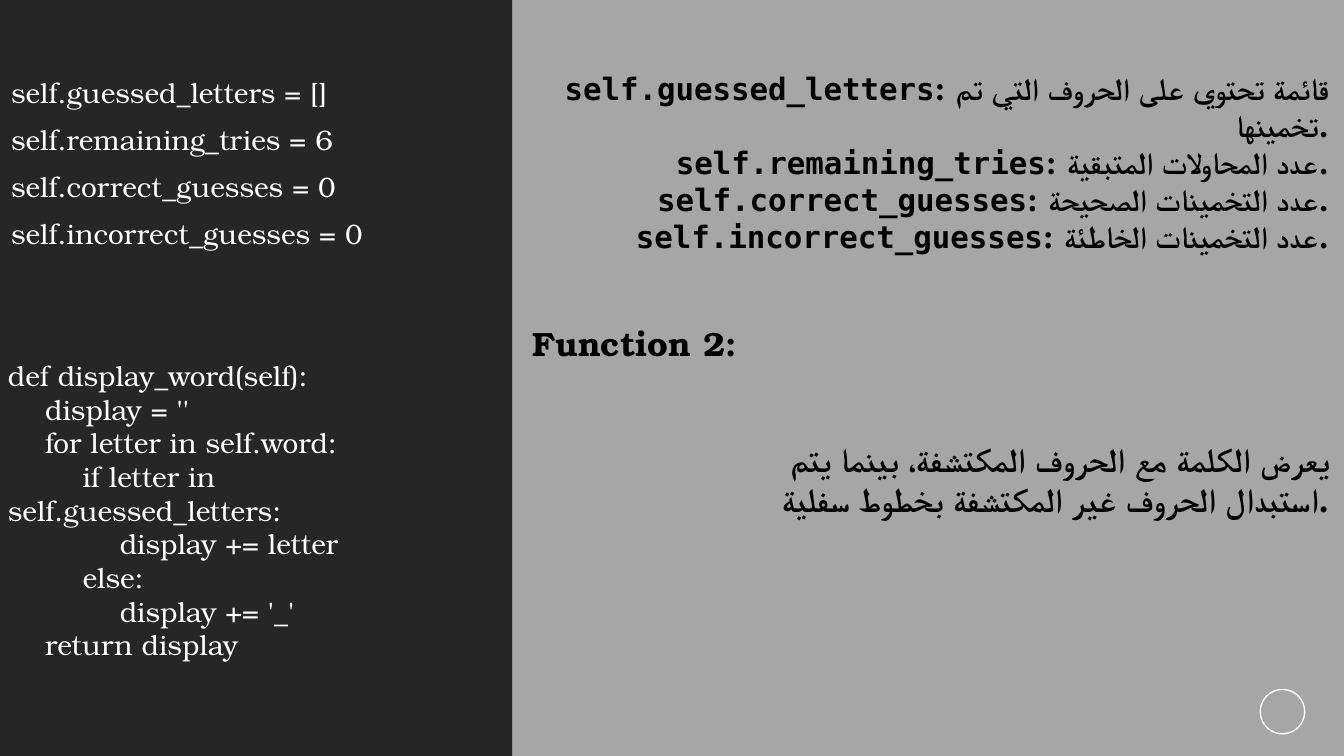
import pptx
import pptx.util
import pptx.dml.color
import pptx.enum.shapes
import pptx.enum.text
import pptx.oxml.ns
import lxml.etree

Inches = pptx.util.Inches
Pt = pptx.util.Pt
Align = pptx.enum.text.PP_ALIGN
Anchor = pptx.enum.text.MSO_ANCHOR
Preset = pptx.enum.shapes.MSO_SHAPE

COLORS = {"page": "A6A6A6", "panel": "262626", "light": "FFFFFF", "dark": "000000"}
SERIF = "TeX Gyre Bonum"
MONO = "DejaVu Sans Mono"
INDENT_STEP = 0.37

HEADING = "Function 2:"
ATTRIBUTES = [
    ("self.guessed_letters", "[]", "قائمة تحتوي على الحروف التي تم تخمينها."),
    ("self.remaining_tries", "6", "عدد المحاولات المتبقية."),
    ("self.correct_guesses", "0", "عدد التخمينات الصحيحة."),
    ("self.incorrect_guesses", "0", "عدد التخمينات الخاطئة."),
]
CODE = [
    (0, "def display_word(self):"),
    (1, "display = ''"),
    (1, "for letter in self.word:"),
    (2, "if letter in self.guessed_letters:"),
    (3, "display += letter"),
    (2, "else:"),
    (3, "display += '_'"),
    (1, "return display"),
]
SUMMARY = "يعرض الكلمة مع الحروف المكتشفة، بينما يتم استبدال الحروف غير المكتشفة بخطوط سفلية."


def rgb(name):
    return pptx.dml.color.RGBColor.from_string(COLORS[name])


def place(box, left, top, width, height):
    box.left, box.top = Inches(left), Inches(top)
    box.width, box.height = Inches(width), Inches(height)


def add_text_box(page, *area):
    frame = page.shapes.add_textbox(*map(Inches, area)).text_frame
    frame.word_wrap = True
    return frame


def write_lines(frame, lines, size, color, align=Align.LEFT, bold=False):
    for index, runs in enumerate(lines):
        para = frame.add_paragraph() if index else frame.paragraphs[0]
        para.alignment = align
        para.font.size = Pt(size)
        para.font.bold = bold
        para.font.color.rgb = rgb(color)
        for text, font in runs:
            span = para.add_run()
            span.text = text
            span.font.name = font
            span.font.size = Pt(size)
            span.font.bold = bold
            span.font.color.rgb = rgb(color)


def set_indent(para, margin, first):
    properties = para._p.get_or_add_pPr()
    properties.set("marL", str(Inches(margin)))
    properties.set("indent", str(Inches(first)))
    return properties


def add_panel(page, heading):
    panel = page.shapes.add_shape(Preset.RECTANGLE, 0, 0, Inches(5.08), Inches(7.5))
    panel.shadow.inherit = False
    panel.fill.solid()
    panel.fill.fore_color.rgb = rgb("panel")
    panel.line.fill.background()
    heading.element.addprevious(panel.element)


def add_ring(page):
    ring = page.shapes.add_shape(Preset.OVAL, *map(Inches, (12.5, 6.84, 0.44, 0.44)))
    ring.shadow.inherit = False
    ring.fill.background()
    ring.line.color.rgb = rgb("light")
    ring.line.width = Pt(1)


def fill_heading(heading):
    place(heading, 5.08, 3.15, 4.43, 0.91)
    frame = heading.text_frame
    frame.auto_size = pptx.enum.text.MSO_AUTO_SIZE.NONE
    frame.vertical_anchor = Anchor.TOP
    frame.margin_left = Inches(0.2)
    write_lines(frame, [[(HEADING, SERIF)]], 24, "dark", bold=True)


def fill_assignments(body):
    place(body, 0.01, 0.72, 5.1, 2.31)
    frame = body.text_frame
    frame.auto_size = pptx.enum.text.MSO_AUTO_SIZE.NONE
    frame.vertical_anchor = Anchor.MIDDLE
    frame.margin_bottom = Inches(0.52)
    lines = [[(f"{name} = {value}", SERIF)] for name, value, _ in ATTRIBUTES]
    write_lines(frame, lines, 20, "light")
    for para in frame.paragraphs:
        para.line_spacing = 0.9
        para.space_before = Pt(12)
        properties = set_indent(para, 0.2, -0.2)
        bullet = lxml.etree.Element(pptx.oxml.ns.qn("a:buNone"))
        properties.find(pptx.oxml.ns.qn("a:spcBef")).addnext(bullet)


def main():
    deck = pptx.Presentation()
    deck.slide_width, deck.slide_height = Inches(13.33), Inches(7.5)
    page = deck.slides.add_slide(deck.slide_layouts[1])
    page.background.fill.solid()
    page.background.fill.fore_color.rgb = rgb("page")

    heading = page.shapes.title
    add_panel(page, heading)
    fill_heading(heading)
    fill_assignments(page.placeholders[1])
    add_ring(page)

    meanings = [[(name, MONO), (f": {text}", SERIF)] for name, _, text in ATTRIBUTES]
    frame = add_text_box(page, 4.94, 0.64, 8.34, 1.95)
    write_lines(frame, meanings, 22, "dark", Align.RIGHT, True)

    frame = add_text_box(page, -0.02, 3.51, 4.95, 3.13)
    write_lines(frame, [[(text, SERIF)] for _, text in CODE], 20, "light")
    for para, (level, _) in zip(frame.paragraphs, CODE):
        set_indent(para, 0, INDENT_STEP * level)

    frame = add_text_box(page, 7.09, 4.3, 6.2, 0.91)
    write_lines(frame, [[(SUMMARY, SERIF)]], 24, "dark", Align.RIGHT, True)

    deck.save("out.pptx")


if __name__ == "__main__":
    main()
